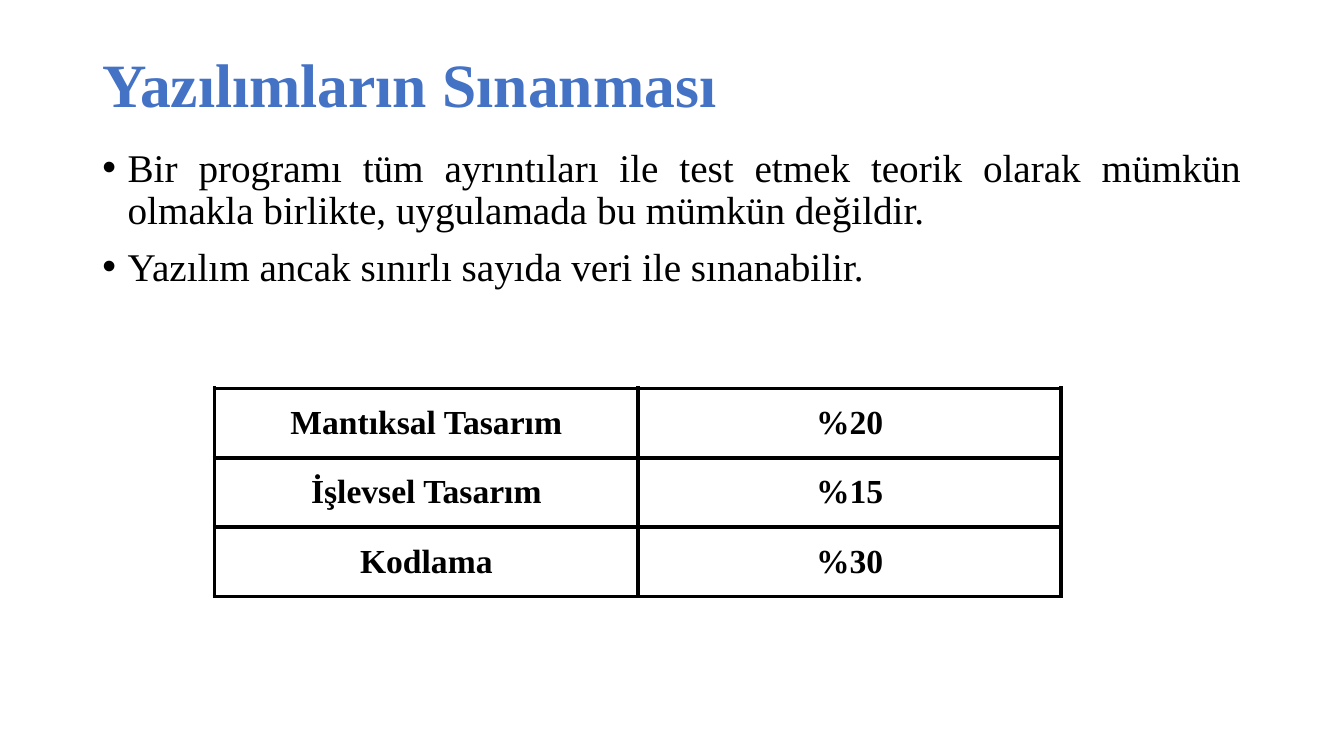
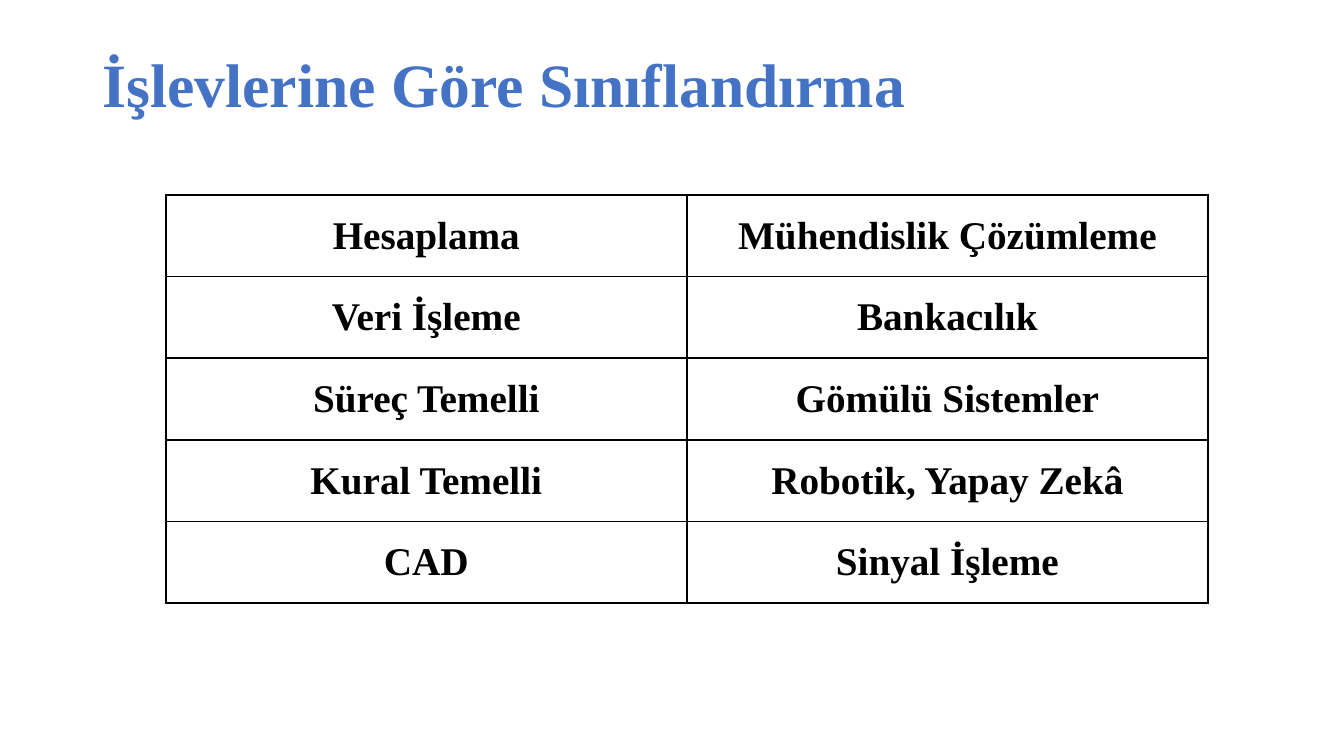
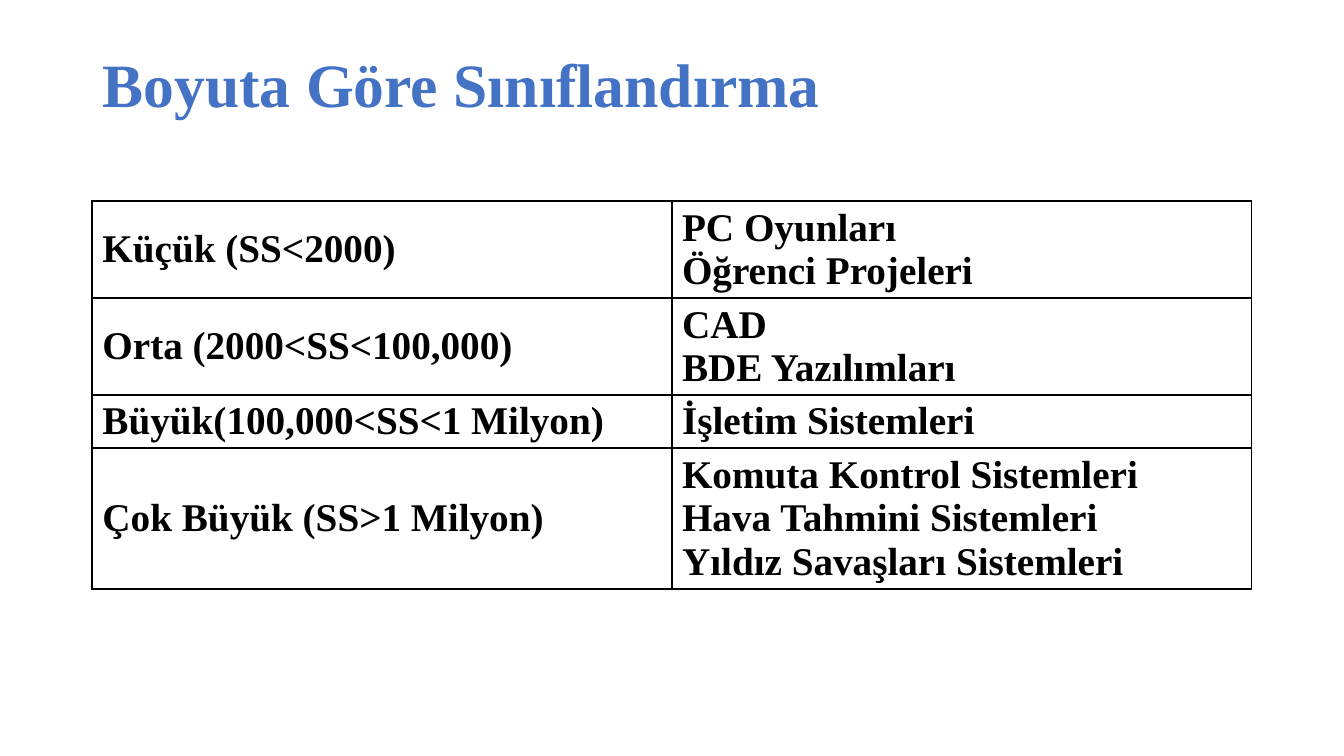
import pptx
import pptx.dml.color
import pptx.enum.text
import pptx.oxml
import pptx.oxml.ns
import pptx.util

Pt = pptx.util.Pt
ALIGN = pptx.enum.text.PP_ALIGN
MIDDLE = pptx.enum.text.MSO_ANCHOR.MIDDLE

FONT = "Times New Roman"
TITLE_COLOR, TEXT_COLOR = "4472C4", "000000"
TITLE_BOX = (66, 29, 828, 67.5)
BULLET_BOX = (66, 102.5, 828, 384)
TITLE_ONLY, TITLE_AND_CONTENT = 5, 1

SLIDES = [
    {
        "title": "Yazılımların Sınanması",
        "bullets": [
            "Bir programı tüm ayrıntıları ile test etmek teorik olarak mümkün "
            "olmakla birlikte, uygulamada bu mümkün değildir.",
            "Yazılım ancak sınırlı sayıda veri ile sınanabilir.",
        ],
        "rows": [
            ("Mantıksal Tasarım", "%20"),
            ("İşlevsel Tasarım", "%15"),
            ("Kodlama", "%30"),
        ],
        "at": (153.3, 277.4), "column": 302.4, "row": 49.6,
        "size": 24, "border": 3, "align": ALIGN.CENTER,
    },
    {
        "title": "İşlevlerine Göre Sınıflandırma",
        "rows": [
            ("Hesaplama", "Mühendislik Çözümleme"),
            ("Veri İşleme", "Bankacılık"),
            ("Süreç Temelli", "Gömülü Sistemler"),
            ("Kural Temelli", "Robotik, Yapay Zekâ"),
            ("CAD", "Sinyal İşleme"),
        ],
        "at": (118.4, 139.2), "column": 372.2, "row": 58.35,
        "size": 28, "border": 1.5, "align": ALIGN.CENTER,
    },
    {
        "title": "Boyuta Göre Sınıflandırma",
        "rows": [
            ("Küçük (SS<2000)", "PC Oyunları\nÖğrenci Projeleri"),
            ("Orta (2000<SS<100,000)", "CAD\nBDE Yazılımları"),
            ("Büyük(100,000<SS<1 Milyon)", "İşletim Sistemleri"),
            ("Çok Büyük (SS>1 Milyon)",
             "Komuta Kontrol Sistemleri\nHava Tahmini Sistemleri\n"
             "Yıldız Savaşları Sistemleri"),
        ],
        "at": (66, 143.7), "column": 414, "row": 29.5,
        "size": 28, "border": 1.5, "align": ALIGN.LEFT,
    },
]


def rgb(color):
    return pptx.dml.color.RGBColor.from_string(color)


def format_text(frame, size, color, bold, align):
    for paragraph in frame.paragraphs:
        paragraph.alignment = align
        font = paragraph.font
        font.name, font.size, font.bold = FONT, Pt(size), bold
        font.color.rgb = rgb(color)


def place(shape, box):
    shape.left, shape.top, shape.width, shape.height = map(Pt, box)
    shape.text_frame.auto_size = pptx.enum.text.MSO_AUTO_SIZE.NONE


def add_title(slide, text):
    title = slide.shapes.title
    place(title, TITLE_BOX)
    title.text_frame.text = text
    title.text_frame.vertical_anchor = MIDDLE
    format_text(title.text_frame, 44, TITLE_COLOR, True, ALIGN.LEFT)
    title.text_frame.paragraphs[0].line_spacing = 0.9


def add_bullets(slide, bullets):
    body = slide.placeholders[1]
    place(body, BULLET_BOX)
    body.text_frame.text = "\n".join(bullets)
    format_text(body.text_frame, 28, TEXT_COLOR, False, ALIGN.JUSTIFY)
    for paragraph in body.text_frame.paragraphs:
        paragraph.line_spacing = 0.9
        paragraph.space_before = Pt(10)
        properties = paragraph._p.get_or_add_pPr()
        properties.set("marL", str(Pt(18)))
        properties.set("indent", str(Pt(-18)))


def add_borders(cell, width):
    properties = cell._tc.get_or_add_tcPr()
    for position, side in enumerate(("lnL", "lnR", "lnT", "lnB")):
        properties.insert(position, pptx.oxml.parse_xml(
            f'<a:{side} {pptx.oxml.ns.nsdecls("a")} w="{Pt(width)}">'
            f'<a:solidFill><a:srgbClr val="{TEXT_COLOR}"/></a:solidFill>'
            f'</a:{side}>'))


def add_grid(slide, content):
    rows = content["rows"]
    count, columns = len(rows), len(rows[0])
    left, top = content["at"]
    table = slide.shapes.add_table(
        count, columns, Pt(left), Pt(top),
        Pt(columns * content["column"]), Pt(count * content["row"])).table
    table.first_row = table.horz_banding = False
    for r, row in enumerate(rows):
        for c, text in enumerate(row):
            cell = table.cell(r, c)
            cell.text = text
            cell.vertical_anchor = MIDDLE
            cell.fill.background()
            add_borders(cell, content["border"])
            format_text(cell.text_frame, content["size"], TEXT_COLOR, True,
                        content["align"])


def main():
    deck = pptx.Presentation()
    deck.slide_width, deck.slide_height = Pt(960), Pt(540)
    for content in SLIDES:
        layout = TITLE_AND_CONTENT if "bullets" in content else TITLE_ONLY
        slide = deck.slides.add_slide(deck.slide_layouts[layout])
        add_title(slide, content["title"])
        if "bullets" in content:
            add_bullets(slide, content["bullets"])
        add_grid(slide, content)
    deck.save("out.pptx")


if __name__ == "__main__":
    main()
